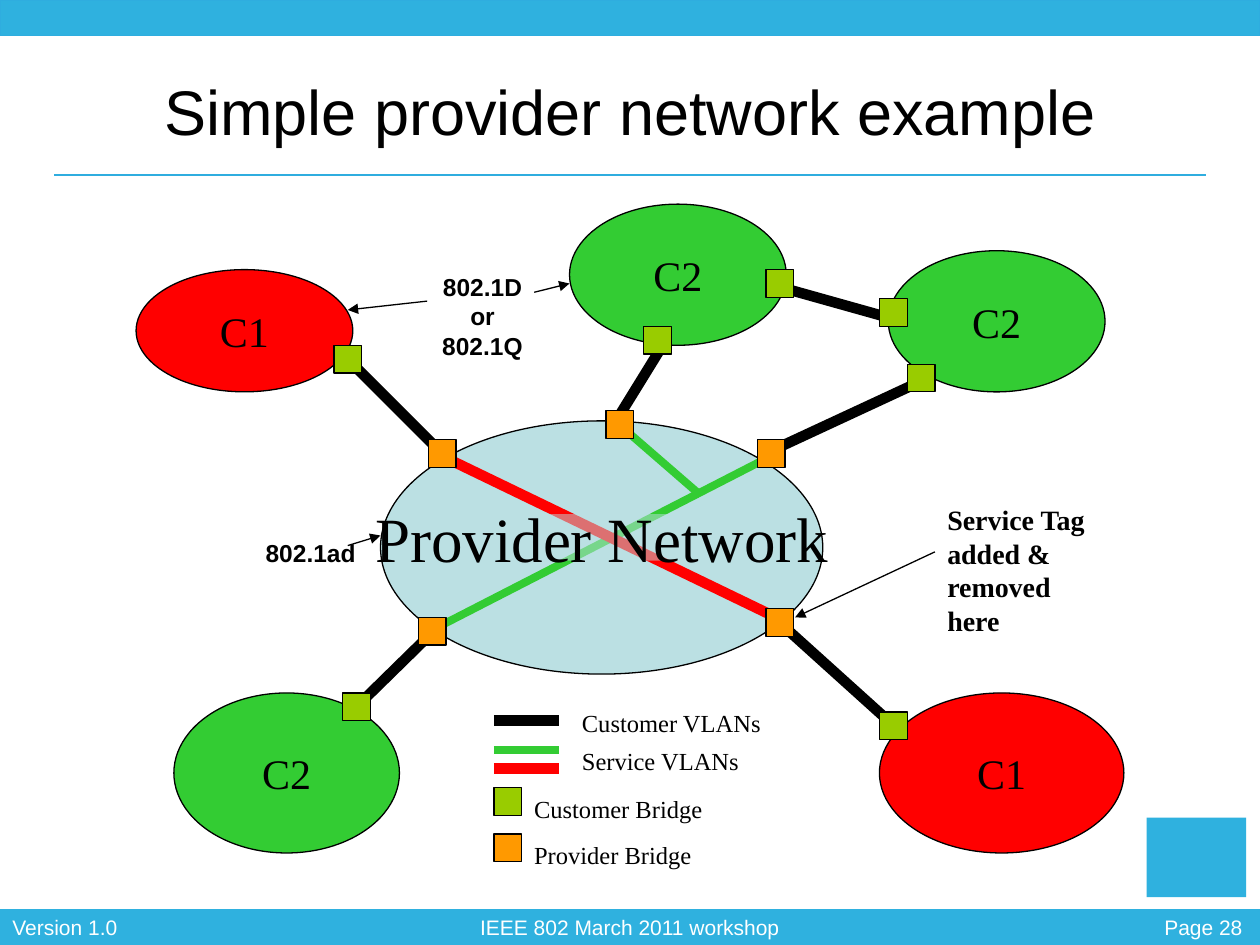
from lxml import etree
from pptx import Presentation
from pptx.dml.color import RGBColor
from pptx.enum.shapes import MSO_CONNECTOR, MSO_SHAPE
from pptx.enum.text import MSO_ANCHOR, PP_ALIGN
from pptx.oxml.ns import qn
from pptx.util import Pt

EMU_PER_PX = 9144
RECT, OVAL = MSO_SHAPE.RECTANGLE, MSO_SHAPE.OVAL
STRAIGHT = MSO_CONNECTOR.STRAIGHT
LEFT, CENTER, RIGHT = PP_ALIGN.LEFT, PP_ALIGN.CENTER, PP_ALIGN.RIGHT
TOP, MIDDLE = MSO_ANCHOR.TOP, MSO_ANCHOR.MIDDLE
SANS, SERIF = "Arial", "Times New Roman"
BRIDGE = 22
COLORS = {
    "bar": "2FB1DF", "rule": "2FADDF", "white": "FFFFFF", "black": "000000",
    "red": "FF0000", "green": "33CC33", "cloud": "BBE0E3",
    "customer": "99CC00", "provider": "FF9900",
}


def px(*lengths):
    """Turn px lengths into EMU."""
    return [length * EMU_PER_PX for length in lengths]


def rgb(name):
    """Look up a palette colour."""
    return RGBColor.from_string(COLORS[name])


def write(frame, text, size=14, font=SERIF, color="black", bold=False,
          align=LEFT, anchor=TOP, wrap=False):
    """Fill a text frame, one paragraph per line of text."""
    frame.word_wrap = wrap
    frame.vertical_anchor = anchor
    for index, line in enumerate(text.split("\n")):
        paragraph = frame.add_paragraph() if index else frame.paragraphs[0]
        paragraph.alignment = align
        run = paragraph.add_run()
        run.text = line
        run.font.size, run.font.name, run.font.bold = Pt(size), font, bold
        run.font.color.rgb = rgb(color)


def add_label(slide, box, text, **style):
    """Add a text box."""
    write(slide.shapes.add_textbox(*px(*box)).text_frame, text, **style)


def add_block(slide, kind, box, fill, outline=None):
    """Add a filled preset shape."""
    block = slide.shapes.add_shape(kind, *px(*box))
    block.shadow.inherit = False
    block.fill.solid()
    block.fill.fore_color.rgb = rgb(fill)
    if outline:
        block.line.color.rgb = rgb(outline)
        block.line.width = Pt(0.75)
    else:
        block.line.fill.background()
    return block


def add_line(slide, ends, color="black", width=0.75, arrow=False):
    """Add a straight line, with an arrowhead at its end on request."""
    line = slide.shapes.add_connector(STRAIGHT, *px(*ends))
    line.line.color.rgb = rgb(color)
    line.line.width = Pt(width)
    if arrow:
        head = etree.SubElement(line.line._get_or_add_ln(), qn("a:tailEnd"))
        head.set("type", "triangle")
    etree.SubElement(line._element.spPr, qn("a:effectLst"))


def add_frame(slide, left, top, width, height):
    """Draw the bars, the title rule, the footer texts and the badge."""
    bar = 28
    footer_top = top + height - bar
    add_block(slide, RECT, (left, footer_top, width, bar), "bar", "bar")
    add_block(slide, RECT, (left, top, width, bar), "bar", "rule")
    add_line(slide, (left + 43, top + 139, left + width - 43, top + 139), "rule")
    footers = (("Page 28", 870, 126, RIGHT), ("Version 1.0", 0, 104, LEFT),
               ("IEEE 802 March 2011 workshop", 0, 1000, CENTER))
    for text, x, span, align in footers:
        add_label(slide, (left + x, footer_top - 1, span, 30), text, size=12,
                  font=SANS, color="white", align=align, wrap=True)
    add_block(slide, RECT, (left + 910, top + 649, 79, 63), "bar")


def add_title(slide, left, top, width, height):
    """Place and format the title placeholder."""
    title = slide.shapes.title
    title.left, title.top, title.width, title.height = px(left, top, width, height)
    write(title.text_frame, "Simple provider network example", size=36,
          font=SANS, align=CENTER, anchor=MIDDLE, wrap=True)


def add_bridge(slide, x, y, role):
    """Draw one bridge square."""
    add_block(slide, RECT, (x, y, BRIDGE, BRIDGE), role, "black")


def add_network(slide, left, top):
    """Draw the clouds, the links between them and the bridges."""
    clouds = (("", "cloud", 194, 172, 351, 201),
              ("C1", "red", 0, 52, 172, 97), ("C1", "red", 590, 388, 194, 127),
              ("C2", "green", 344, 0, 172, 112),
              ("C2", "green", 597, 37, 172, 112),
              ("C2", "green", 30, 388, 179, 127))
    for name, color, x, y, width, height in clouds:
        cloud = add_block(slide, OVAL, (left + x, top + y, width, height),
                          color, "black")
        if name:
            write(cloud.text_frame, name, size=24, align=CENTER, anchor=MIDDLE)

    links = (("black", 6, 179, 395, 232, 343), ("black", 6, 172, 127, 239, 194),
             ("black", 6, 508, 194, 620, 142), ("black", 6, 515, 336, 597, 410),
             ("black", 6, 381, 172, 418, 112), ("black", 6, 597, 90, 515, 67),
             ("green", 4.5, 239, 336, 500, 202), ("red", 6, 247, 202, 508, 328),
             ("green", 4.5, 448, 231, 388, 179))
    for color, width, x1, y1, x2, y2 in links:
        add_line(slide, (left + x1, top + y1, left + x2, top + y2), color, width)

    caption = add_block(slide, RECT, (left + 254, top + 246, 231, 37), "cloud")
    tint = caption._element.spPr.find(qn("a:solidFill"))[0]
    etree.SubElement(tint, qn("a:alpha")).set("val", "50000")
    write(caption.text_frame, "Provider Network", size=36, align=CENTER,
          anchor=MIDDLE)

    bridges = {
        "provider": ((224, 328), (493, 187), (232, 187), (500, 321), (373, 164)),
        "customer": ((157, 112), (612, 127), (590, 403), (164, 388), (403, 97),
                     (500, 52), (590, 75)),
    }
    for role, places in bridges.items():
        for x, y in places:
            add_bridge(slide, left + x, top + y, role)


def add_notes(slide, left, top):
    """Add the remarks and the arrows that lead from them."""
    standard = {"font": SANS, "bold": True}
    add_label(slide, (left + 93, top + 260, 110, 33), "802.1ad", wrap=True,
              **standard)
    add_label(slide, (left + 225, top + 49, 100, 77), "802.1D or\n802.1Q",
              align=CENTER, wrap=True, **standard)
    add_label(slide, (left + 634, top + 232, 140, 117),
              "Service Tag added & removed here", size=16, bold=True, wrap=True)
    arrows = ((634, 276, 523, 328), (168, 271, 194, 263),
              (316, 70, 344, 63), (231, 77, 168, 84))
    for x1, y1, x2, y2 in arrows:
        add_line(slide, (left + x1, top + y1, left + x2, top + y2), arrow=True)


def add_legend(slide, left, top):
    """Explain the link colours and the bridge colours."""
    for y, color, width in ((15, "black", 6), (38, "green", 4.5), (53, "red", 6)):
        add_line(slide, (left, top + y, left + 52, top + y), color, width)
    for y, text in ((0, "Customer VLANs"), (30, "Service VLANs")):
        add_label(slide, (left + 60, top + y, 180, 33), text, wrap=True)
    for y, role in ((68, "customer"), (105, "provider")):
        add_bridge(slide, left, top + y, role)
        add_label(slide, (left + BRIDGE, top + y, 180, 33),
                  f"{role.capitalize()} Bridge", wrap=True)


def main():
    """Build the slide and save it."""
    deck = Presentation()
    deck.slide_width, deck.slide_height = px(1000, 750)
    slide = deck.slides.add_slide(deck.slide_layouts[5])
    add_frame(slide, 0, 0, 1000, 750)
    add_title(slide, 50, 44, 900, 87)
    add_network(slide, 108, 162)
    add_notes(slide, 108, 162)
    add_legend(slide, 392, 557)
    deck.save("out.pptx")


if __name__ == "__main__":
    main()
